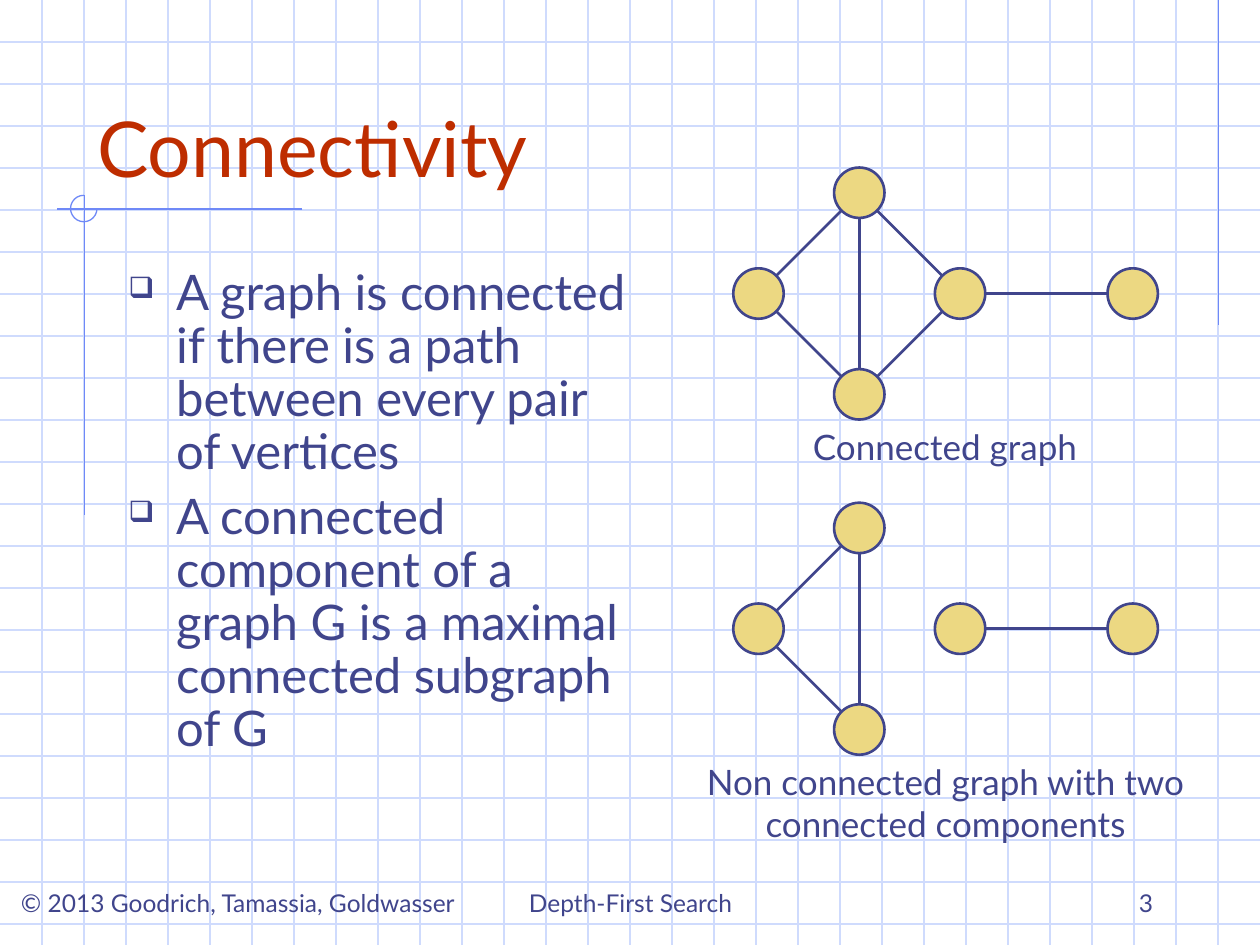
"""Builds a slide that compares a connected and a non connected graph."""
from math import hypot

from lxml import etree
from pptx import Presentation
from pptx.dml.color import RGBColor
from pptx.enum.shapes import MSO_CONNECTOR, MSO_SHAPE
from pptx.enum.text import MSO_ANCHOR, PP_ALIGN
from pptx.oxml.ns import qn
from pptx.util import Inches, Pt

STRAIGHT = MSO_CONNECTOR.STRAIGHT
OVAL, ARC = MSO_SHAPE.OVAL, MSO_SHAPE.ARC
TOP, BOTTOM = MSO_ANCHOR.TOP, MSO_ANCHOR.BOTTOM
LEFT, CENTER, RIGHT = PP_ALIGN.LEFT, PP_ALIGN.CENTER, PP_ALIGN.RIGHT

GRID = RGBColor(0xCF, 0xDB, 0xFD)
ACCENT = RGBColor(0x6F, 0x89, 0xF7)
INK = RGBColor(0x40, 0x45, 0x8C)
RUST = RGBColor(0xBE, 0x2D, 0x00)
GOLD = RGBColor(0xEC, 0xD8, 0x82)
FONT = "Lato"
WIDTH, HEIGHT = 10, 7.5
RADIUS = 0.2

VERTICES = {"left": (6.02, 0), "top": (6.82, -0.8), "bottom": (6.82, 0.8),
            "right": (7.62, 0), "far": (8.99, 0)}
SPLIT_EDGES = [("top", "left"), ("bottom", "left"), ("top", "bottom"),
               ("right", "far")]
JOINING_EDGES = [("top", "right"), ("bottom", "right")]


class SlideBuilder:
    def __init__(self, slide):
        self.slide = slide
        self.shapes = slide.shapes

    def line(self, start, end, color, width=0.75):
        cx = self.shapes.add_connector(
            STRAIGHT, *(Inches(v) for v in (*start, *end)))
        cx.line.color.rgb = color
        cx.line.width = Pt(width)
        etree.SubElement(cx._element.spPr, qn("a:effectLst"))

    def shape(self, kind, box, color, width, fill=None):
        sp = self.shapes.add_shape(kind, *(Inches(v) for v in box))
        sp.shadow.inherit = False
        if fill is None:
            sp.fill.background()
        else:
            sp.fill.solid()
            sp.fill.fore_color.rgb = fill
        sp.line.color.rgb = color
        sp.line.width = Pt(width)
        return sp

    def format_text(self, tf, size, color, align, anchor, wrap=True):
        tf.word_wrap = wrap
        tf.vertical_anchor = anchor
        for p in tf.paragraphs:
            p.alignment = align
            for r in p.runs:
                r.font.name = FONT
                r.font.size = Pt(size)
                r.font.color.rgb = color

    def title(self, text, box, size):
        sp = self.shapes.title
        sp.left, sp.top, sp.width, sp.height = (Inches(v) for v in box)
        sp.text_frame.text = text
        self.format_text(sp.text_frame, size, RUST, LEFT, BOTTOM)
        self.shapes._spTree.append(sp._element)

    def text(self, text, box, size, align=CENTER, anchor=TOP, wrap=True):
        tf = self.shapes.add_textbox(*(Inches(v) for v in box)).text_frame
        tf.text = text
        self.format_text(tf, size, INK, align, anchor, wrap)
        return tf

    def bullets(self, items, box, size):
        tf = self.text("\n".join(items), box, size, LEFT)
        for p in tf.paragraphs:
            p.line_spacing = 0.9
            p.space_before = Pt(7)
            pPr = p._p.get_or_add_pPr()
            pPr.set("marL", str(Inches(0.38)))
            pPr.set("indent", str(-Inches(0.38)))
            color = etree.SubElement(pPr, qn("a:buClr"))
            etree.SubElement(color, qn("a:srgbClr"), val=str(INK))
            etree.SubElement(pPr, qn("a:buSzPct"), val="60000")
            etree.SubElement(pPr, qn("a:buChar"), char="❑")

    def grid(self):
        for i in range(1, 23):
            self.line((0, i / 3), (WIDTH, i / 3), GRID)
        for i in range(1, 30):
            self.line((i / 3, 0), (i / 3, HEIGHT), GRID)

    def ornament(self):
        self.line((9.67, 0), (9.67, 2.58), ACCENT)
        self.line((2.4, 1.66), (0.45, 1.66), ACCENT)
        self.line((0.67, 1.55), (0.67, 4.09), ACCENT)
        arc = self.shape(ARC, (0.56, 1.55, 0.21, 0.21), ACCENT, 0.75)
        arc.adjustments[0] = 0
        arc.adjustments[1] = 162

    def graph(self, middle, edges):
        centers = {name: (x, middle + dy) for name, (x, dy) in VERTICES.items()}
        for x, y in centers.values():
            self.shape(OVAL, (x - RADIUS, y - RADIUS, 2 * RADIUS, 2 * RADIUS),
                       INK, 1.5, GOLD)
        for a, b in edges:
            (x1, y1), (x2, y2) = centers[a], centers[b]
            trim = RADIUS / hypot(x2 - x1, y2 - y1)
            dx, dy = (x2 - x1) * trim, (y2 - y1) * trim
            self.line((x1 + dx, y1 + dy), (x2 - dx, y2 - dy), INK, 1.5)


def main():
    prs = Presentation()
    prs.slide_width, prs.slide_height = Inches(WIDTH), Inches(HEIGHT)
    s = SlideBuilder(prs.slides.add_slide(prs.slide_layouts[5]))
    s.grid()
    s.ornament()
    s.text("© 2013 Goodrich, Tamassia, Goldwasser", (-0.05, 7, 3.88, 0.34), 14,
           wrap=False)
    s.text("Depth-First Search", (3.42, 6.83, 3.17, 0.5), 14, anchor=BOTTOM)
    s.text("3", (7.17, 6.83, 2.08, 0.5), 14, RIGHT, BOTTOM)
    s.title("Connectivity", (0.67, 0.33, 8.5, 1.25), 44)
    s.bullets(
        ["A graph is connected if there is a path between every pair of vertices",
         "A connected component of a graph G is a maximal connected subgraph of G"],
        (0.92, 2.08, 4.17, 4.5), 28)
    s.graph(2.33, SPLIT_EDGES + JOINING_EDGES)
    s.text("Connected graph", (5.94, 3.33, 3.12, 0.44), 20)
    s.graph(4.99, SPLIT_EDGES)
    s.text("Non connected graph with two connected components",
           (5.51, 5.99, 3.99, 0.77), 20)
    prs.save("out.pptx")


if __name__ == "__main__":
    main()
